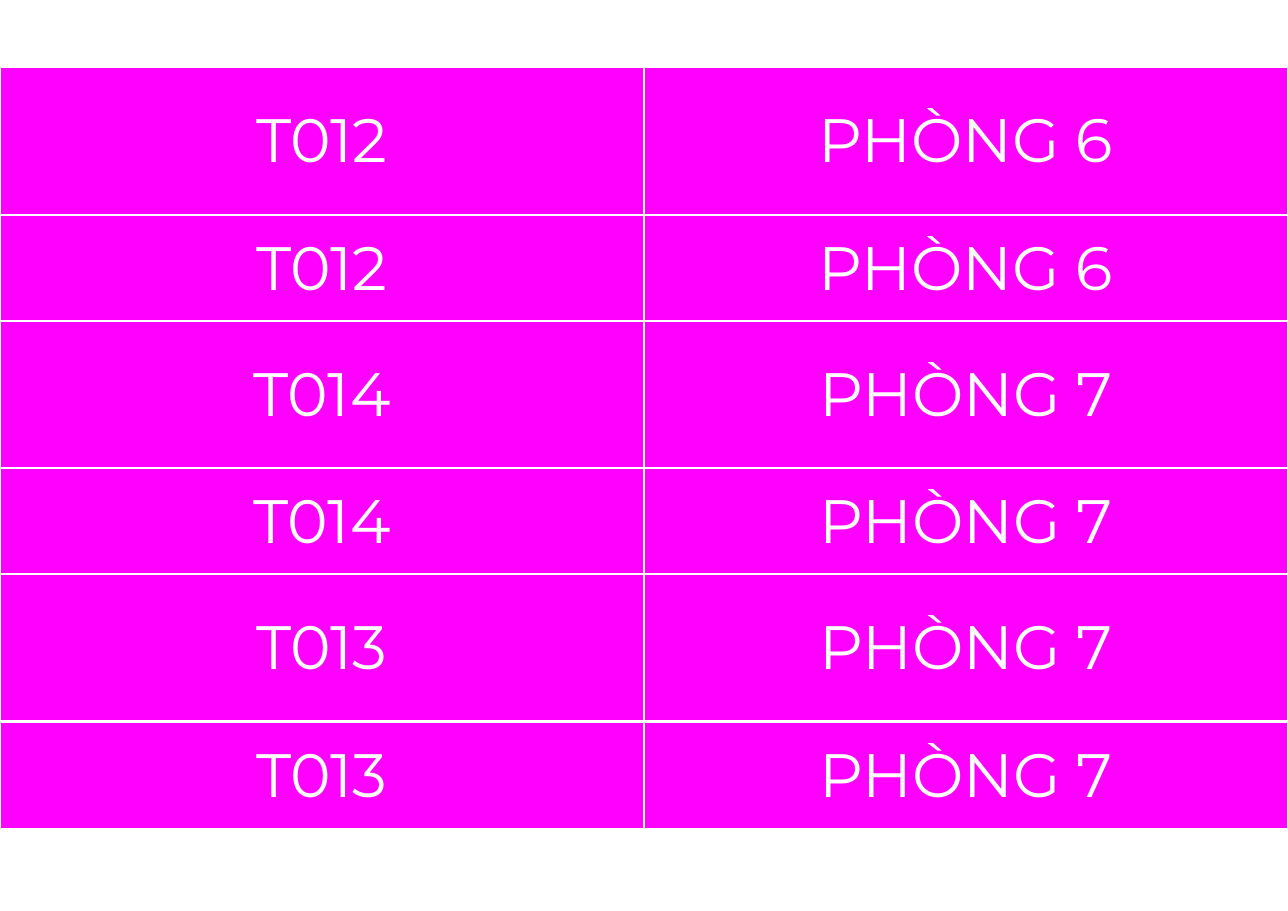
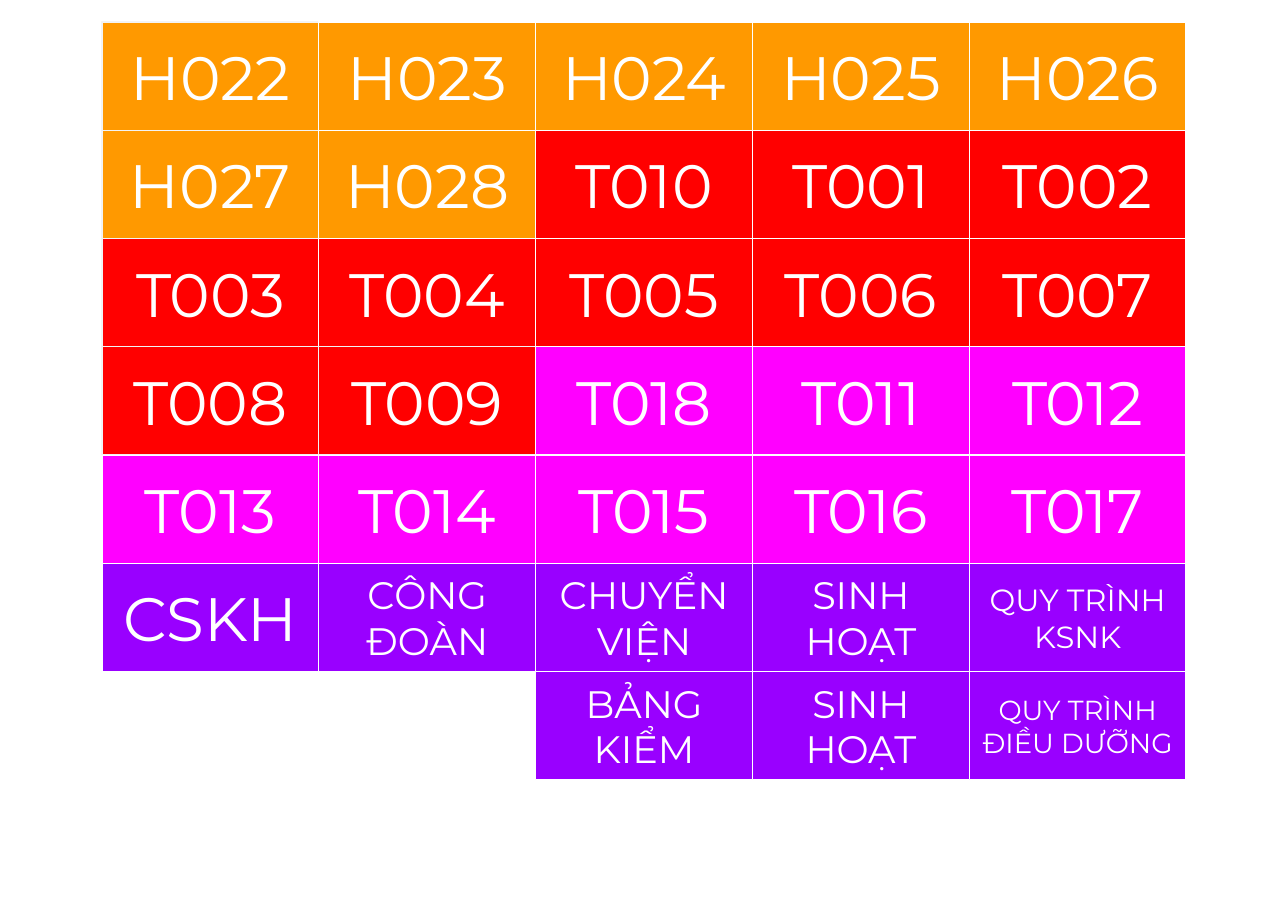
from dataclasses import dataclass
from itertools import product

from lxml.etree import SubElement
from pptx import Presentation
from pptx.dml.color import RGBColor
from pptx.enum.shapes import MSO_SHAPE
from pptx.enum.text import MSO_ANCHOR, PP_ALIGN
from pptx.oxml.ns import qn
from pptx.util import Pt

# Content: slide 1, pairs of tall and short label strips
ROOMS = [("T012", "PHÒNG 6"), ("T014", "PHÒNG 7"), ("T013", "PHÒNG 7")]

# Content: slide 2, labels in reading order; None leaves a cell empty
LABELS = [
    ("orange", ["H022", "H023", "H024", "H025", "H026", "H027", "H028"]),
    ("red", ["T010", "T001", "T002", "T003", "T004", "T005", "T006", "T007",
             "T008", "T009"]),
    ("magenta", ["T018", "T011", "T012", "T013", "T014", "T015", "T016", "T017"]),
    ("purple", ["CSKH", "CÔNG ĐOÀN", "CHUYỂN VIỆN", "SINH HOẠT", "QUY TRÌNH KSNK",
                None, None, "BẢNG KIỂM", "SINH HOẠT", "QUY TRÌNH ĐIỀU DƯỠNG"]),
]
GREY_EDGED = {"H022", "H027", "T003", "T008", "T009"}


@dataclass(frozen=True)
class Theme:
    font: str = "Montserrat"
    orange: str = "FF9900"
    red: str = "FF0000"
    magenta: str = "FF00FF"
    purple: str = "9900FF"
    white: str = "FFFFFF"
    grey: str = "F3F3F3"
    code_size: int = 40
    word_size: int = 25
    phrase_size: int = 20
    long_size: int = 18
    cell_border: float = 1.5
    box_border: float = 0.75


THEME = Theme()
SMALLER = {
    "CÔNG ĐOÀN": THEME.word_size,
    "CHUYỂN VIỆN": THEME.word_size,
    "SINH HOẠT": THEME.word_size,
    "BẢNG KIỂM": THEME.word_size,
    "QUY TRÌNH KSNK": THEME.phrase_size,
    "QUY TRÌNH ĐIỀU DƯỠNG": THEME.long_size,
}

# Layout, 200 px to the inch
EMU_PER_PX = 4572
PAGE_W, PAGE_H = 2338, 1654
STRIP_TOP, PAIR_PITCH = 122, 460
TALL, SHORT = 268, 188
CELL_PAD_X, CELL_PAD_Y = 24, 30
GRID_LEFT, GRID_TOP, GRID_W, GRID_H = 185, 40, 1968, 1376
GRID_COLS, GRID_ROWS = 5, 7
BOX_PAD = 20


def px(n):
    return round(n * EMU_PER_PX)


def rgb(value):
    return RGBColor.from_string(value)


def paint(target, color):
    target.fill.solid()
    target.fill.fore_color.rgb = rgb(color)


def write(holder, text, size, pad_x, pad_y):
    """Centred white label in a table cell or a shape's text frame."""
    holder.margin_left = holder.margin_right = px(pad_x)
    holder.margin_top = holder.margin_bottom = px(pad_y)
    holder.vertical_anchor = MSO_ANCHOR.MIDDLE
    p = getattr(holder, "text_frame", holder).paragraphs[0]
    p.text = text
    p.alignment = PP_ALIGN.CENTER
    font = p.runs[0].font
    font.name = THEME.font
    font.size = Pt(size)
    font.color.rgb = rgb(THEME.white)


def border(cell, color, width):
    props = cell._tc.get_or_add_tcPr()
    for side in ("a:lnL", "a:lnR", "a:lnT", "a:lnB"):
        ln = SubElement(props, qn(side), w=str(Pt(width)))
        SubElement(SubElement(ln, qn("a:solidFill")), qn("a:srgbClr"), val=color)


def add_strip(s, top, height, texts):
    frame = s.shapes.add_table(1, len(texts), 0, px(top), px(PAGE_W), px(height))
    table = frame.table
    table.first_row = table.horz_banding = False
    for cell, text in zip(table.rows[0].cells, texts):
        border(cell, THEME.white, THEME.cell_border)
        paint(cell, THEME.magenta)
        write(cell, text, THEME.code_size, CELL_PAD_X, CELL_PAD_Y)


def add_box(s, row, col, text, color):
    w, h = GRID_W / GRID_COLS, GRID_H / GRID_ROWS
    sp = s.shapes.add_shape(MSO_SHAPE.RECTANGLE, px(GRID_LEFT + col * w),
                            px(GRID_TOP + row * h), px(w), px(h))
    sp.shadow.inherit = False
    paint(sp, color)
    sp.line.color.rgb = rgb(THEME.grey if text in GREY_EDGED else THEME.white)
    sp.line.width = Pt(THEME.box_border)
    tf = sp.text_frame
    tf.word_wrap = True
    write(tf, text, SMALLER.get(text, THEME.code_size), BOX_PAD, BOX_PAD)


def build_rooms(s):
    for i, texts in enumerate(ROOMS):
        top = STRIP_TOP + i * PAIR_PITCH
        add_strip(s, top, TALL, texts)
        add_strip(s, top + TALL, SHORT, texts)


def build_labels(s):
    labels = [(text, getattr(THEME, color)) for color, texts in LABELS for text in texts]
    places = product(range(GRID_ROWS), range(GRID_COLS))
    for (row, col), (text, color) in zip(places, labels):
        if text:
            add_box(s, row, col, text, color)


def main():
    prs = Presentation()
    prs.slide_width, prs.slide_height = px(PAGE_W), px(PAGE_H)
    for build in (build_rooms, build_labels):
        build(prs.slides.add_slide(prs.slide_layouts[6]))
    prs.save("out.pptx")


if __name__ == "__main__":
    main()
